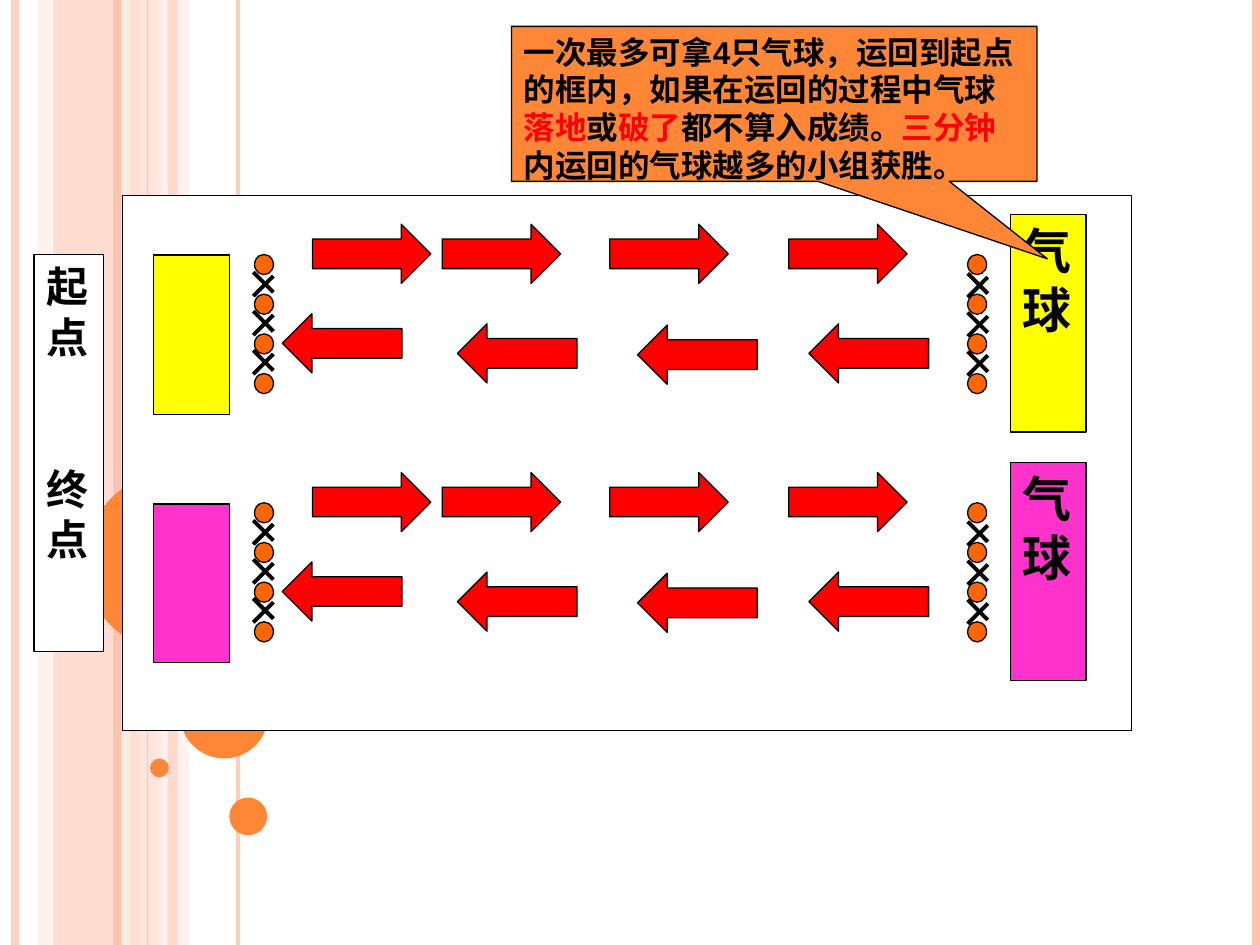
from lxml.etree import SubElement
from pptx import Presentation
from pptx.dml.color import RGBColor
from pptx.enum.shapes import MSO_CONNECTOR, MSO_SHAPE as SHAPE
from pptx.enum.text import MSO_ANCHOR, PP_ALIGN
from pptx.oxml.ns import qn
from pptx.util import Inches, Pt

rgb = RGBColor.from_string

prs = Presentation()
prs.slide_width, prs.slide_height = Inches(10), Inches(7.5)
s = prs.slides.add_slide(prs.slide_layouts[6])


def add_box(kind, x, y, w, h, fill, alpha=100, outline=True, paragraphs=(), font="Times New Roman", size=18):
    """Add a filled shape; each paragraph is a list of (text, colour)."""
    sp = s.shapes.add_shape(kind, Inches(x), Inches(y), Inches(w), Inches(h))
    sp.shadow.inherit = False
    sp.fill.solid()
    sp.fill.fore_color.rgb = rgb(fill)
    if alpha < 100:
        clr = sp._element.spPr.find(".//" + qn("a:srgbClr"))
        SubElement(clr, qn("a:alpha"), val=str(alpha * 1000))
    if outline:
        sp.line.color.rgb = rgb("000000")
        sp.line.width = Pt(0.75)
    else:
        sp.line.fill.background()
    tf = sp.text_frame
    tf.word_wrap = True
    tf.vertical_anchor = MSO_ANCHOR.TOP
    for i, runs in enumerate(paragraphs):
        p = tf.add_paragraph() if i else tf.paragraphs[0]
        p.alignment = PP_ALIGN.LEFT if len(runs) > 1 else PP_ALIGN.JUSTIFY
        for text, color in runs:
            r = p.add_run()
            r.text = text
            r.font.name, r.font.size, r.font.bold = font, Pt(size), True
            r.font.color.rgb = rgb(color)
    return sp


def add_line(x1, y1, x2, y2, color, width, alpha=100):
    cx = s.shapes.add_connector(MSO_CONNECTOR.STRAIGHT, Inches(x1), Inches(y1), Inches(x2), Inches(y2))
    cx.line.color.rgb = rgb(color)
    cx.line.width = Pt(width)
    if alpha < 100:
        clr = cx._element.spPr.find(".//" + qn("a:srgbClr"))
        SubElement(clr, qn("a:alpha"), val=str(alpha * 1000))
    SubElement(cx._element.spPr, qn("a:effectLst"))


# Background stripes
for x, w, color, alpha in [(0.42, 0.67, "FEC3AE", 54), (0.3, 0.11, "FFD9CE", 36),
                           (1.08, 0.2, "FFD9CE", 70), (1.25, 0.25, "FFEDE8", 71)]:
    add_box(SHAPE.RECTANGLE, x, 0, w, 7.5, color, alpha, outline=False)
for x, color, width, alpha in [(0.12, "FEC3AE", 4.5, 73), (1, "FFEDE8", 4.5, 83),
                               (0.93, "FEC3AE", 4.5, 100), (1.89, "FEC3AE", 2.25, 82),
                               (1.17, "FEC3AE", 0.75, 100), (9.97, "FEC3AE", 4.5, 100)]:
    add_line(x, 0, x, 7.5, color, width, alpha)
add_box(SHAPE.RECTANGLE, 1.33, 0, 0.08, 7.5, "FEC3AE", 51, outline=False)

# Background circles
for x, y, d in [(0.67, 3.75, 1.42), (1.43, 5.32, 0.7), (1.19, 6.02, 0.15), (1.82, 6.33, 0.3)]:
    add_box(SHAPE.OVAL, x, y, d, d, "FE8637", outline=False)

# Playing field and start / finish label
add_box(SHAPE.RECTANGLE, 0.97, 1.55, 8.01, 4.25, "FFFFFF")
label = add_box(SHAPE.RECTANGLE, 0.27, 2.02, 0.55, 3.15, "FFFFFF", size=24,
                paragraphs=[[("起点", "000000")], [("终点", "000000")]])
label.text_frame.paragraphs[1].space_before = Pt(58)

# Two lanes with the same layout
add_box(SHAPE.RECTANGLE, 1.22, 2.02, 0.6, 1.26, "FFFF00")
for dy, color in [(0, "FFFF00"), (1.97, "FF33CC")]:
    # Start frame and balloon store
    add_box(SHAPE.RECTANGLE, 1.22, 2.03 + dy, 0.6, 1.26, color)
    add_box(SHAPE.RECTANGLE, 8.02, 1.7 + dy, 0.6, 1.73, color, size=28,
            paragraphs=[[("气球", "000000")]])

    # Columns of players: balls with crosses between them
    for ball_x, cross_x, cross_y in [(2.02, 2.01, 2.16), (7.68, 7.68, 2.17)]:
        for i in range(4):
            add_box(SHAPE.OVAL, ball_x, 2.02 + 0.315 * i + dy, 0.15, 0.16, "FF6600")
        for i in range(3):
            top = cross_y + 0.31 * i + dy
            add_line(cross_x, top, cross_x + 0.16, top + 0.16, "000000", 2.25)
            add_line(cross_x, top + 0.19, cross_x + 0.16, top + 0.03, "000000", 2.25)

    # Way out and way back
    for x in (2.48, 3.51, 4.84, 6.26):
        add_box(SHAPE.RIGHT_ARROW, x, 1.78 + dy, 0.94, 0.47, "FF0000")
    for x, y in [(2.24, 2.49), (3.63, 2.57), (5.06, 2.58), (6.42, 2.57)]:
        add_box(SHAPE.LEFT_ARROW, x, y + dy, 0.95, 0.47, "FF0000")

# Rules callout
rules = [("一次最多可拿4只气球，运回到起点的框内，如果在运回的过程中气球", "000000"),
         ("落地", "FF0000"), ("或", "000000"), ("破了", "FF0000"),
         ("都不算入成绩。", "000000"), ("三分钟", "FF0000"),
         ("内运回的气球越多的小组获胜。", "000000")]
callout = add_box(SHAPE.RECTANGULAR_CALLOUT, 4.06, 0.21, 4.17, 1.23, "FE8637",
                  paragraphs=[rules], font="Arial")
callout.adjustments[0] = 0.52
callout.adjustments[1] = 1.0

prs.save("out.pptx")
